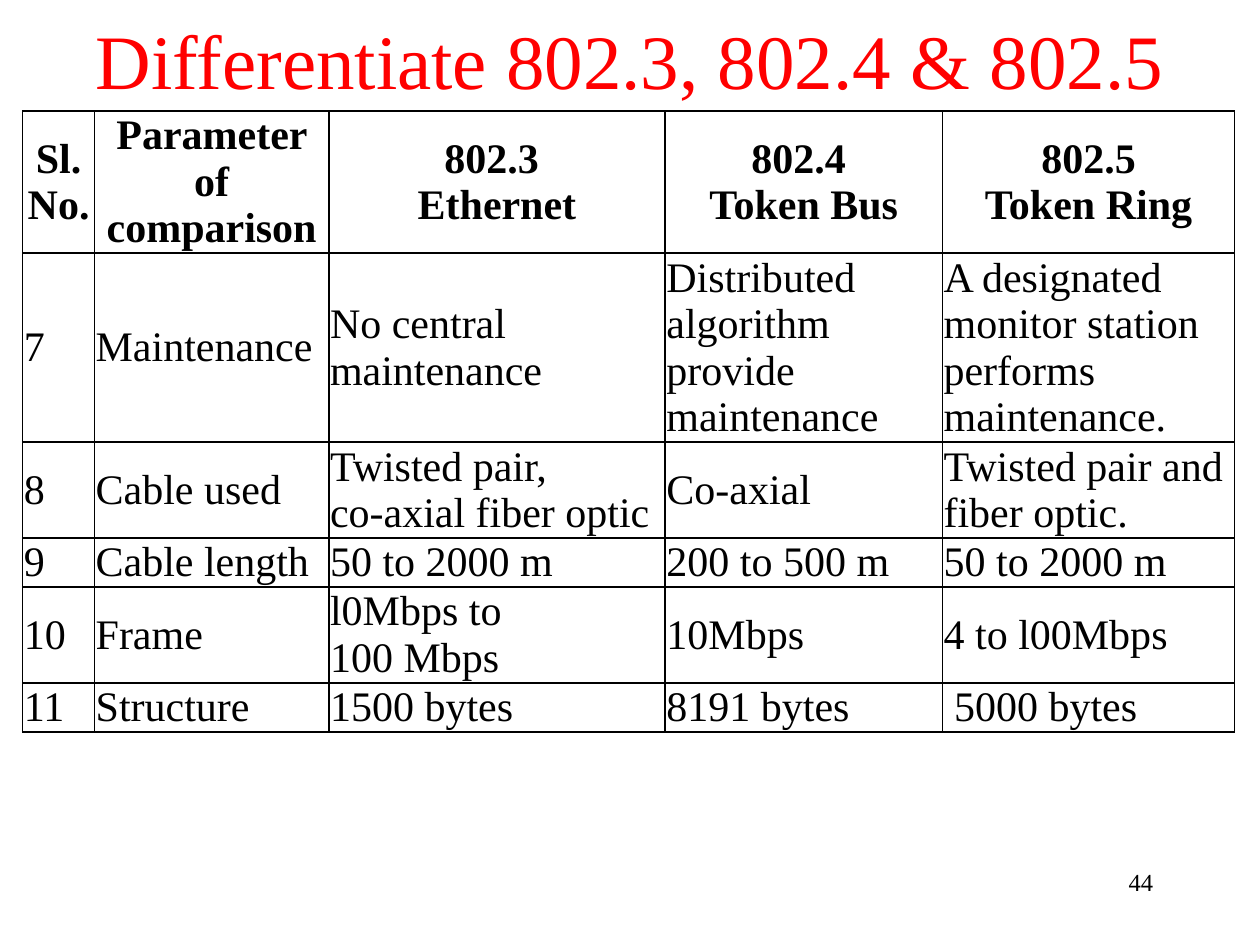
import pptx
import pptx.util
import pptx.dml.color
import pptx.enum.text
import pptx.oxml
from pptx.util import Inches

FONT = "Times New Roman"
COLORS = {"title": "FF0000", "text": "000000", "border": "000000"}
TITLE = "Differentiate 802.3, 802.4 & 802.5"
PAGE_NUMBER = "44"
HEADER = ["Sl. No.", "Parameter of comparison", "802.3 \nEthernet",
          "802.4 \nToken Bus", "802.5 Token\u00a0Ring"]
ROWS = [
    ["7", "Maintenance", "No central maintenance",
     "Distributed algorithm provide maintenance",
     "A designated monitor station performs maintenance."],
    ["8", "Cable used", "Twisted pair, \vco-axial fiber\u00a0optic", "Co-axial",
     "Twisted pair and fiber optic."],
    ["9", "Cable length", "50 to 2000 m", "200 to 500 m", "50 to 2000 m"],
    ["10", "Frame", "l0Mbps to \n100 Mbps", "10Mbps", "4 to l00Mbps"],
    ["11", "Structure", "1500 bytes", "8191 bytes", "\u00a05000 bytes"],
]
COLUMN_WIDTHS = [0.57, 1.86, 2.67, 2.2, 2.32]
ROW_LINES = [3, 4, 2, 1, 2, 1]
LINE_HEIGHT = 0.37
CELL_MARGIN = 0.01
ALIGN = pptx.enum.text.PP_ALIGN
MIDDLE = pptx.enum.text.MSO_ANCHOR.MIDDLE


def write(frame, text, size, color, align, bold=False):
    """Fill a text frame and format every run in it."""
    frame.text = text
    for para in frame.paragraphs:
        para.alignment = align
        for span in para.runs:
            span.font.name = FONT
            span.font.size = pptx.util.Pt(size)
            span.font.bold = bold
            span.font.color.rgb = pptx.dml.color.RGBColor.from_string(COLORS[color])


def add_borders(cell):
    """Draw a one-point line on all four sides of a cell."""
    properties = cell._tc.get_or_add_tcPr()
    for index, side in enumerate(("lnL", "lnR", "lnT", "lnB")):
        properties.insert(index, pptx.oxml.parse_xml(
            f'<a:{side} xmlns:a="http://schemas.openxmlformats.org/drawingml/2006/main"'
            f' w="12700"><a:solidFill><a:srgbClr val="{COLORS["border"]}"/>'
            f'</a:solidFill></a:{side}>'))


def add_comparison(page):
    """Add the comparison table with its header row."""
    content = [HEADER] + ROWS
    heights = [lines * LINE_HEIGHT + 2 * CELL_MARGIN for lines in ROW_LINES]
    table = page.shapes.add_table(
        len(content), len(HEADER), Inches(0.18), Inches(0.88),
        Inches(sum(COLUMN_WIDTHS)), Inches(sum(heights))).table
    table.horz_banding = False
    for column, width in zip(table.columns, COLUMN_WIDTHS):
        column.width = Inches(width)
    for row, height, texts in zip(table.rows, heights, content):
        row.height = Inches(height)
        is_header = texts is HEADER
        for cell, text in zip(row.cells, texts):
            cell.fill.background()
            cell.vertical_anchor = MIDDLE
            cell.margin_left = cell.margin_right = Inches(CELL_MARGIN)
            cell.margin_top = cell.margin_bottom = Inches(CELL_MARGIN)
            write(cell.text_frame, text, 24, "text",
                  ALIGN.CENTER if is_header else ALIGN.LEFT, is_header)
            add_borders(cell)


deck = pptx.Presentation()
deck.slide_width, deck.slide_height = Inches(10), Inches(7.5)
page = deck.slides.add_slide(deck.slide_layouts[5])

title = page.shapes.title
title.left, title.top = Inches(0), Inches(0.08)
title.width, title.height = Inches(10), Inches(0.77)
title.text_frame.vertical_anchor = MIDDLE
write(title.text_frame, TITLE, 44, "title", ALIGN.CENTER)

add_comparison(page)

number = page.shapes.add_textbox(Inches(7.17), Inches(6.83), Inches(2.08), Inches(0.5))
number.text_frame.word_wrap = True
write(number.text_frame, PAGE_NUMBER, 14, "text", ALIGN.RIGHT)

deck.save("out.pptx")
